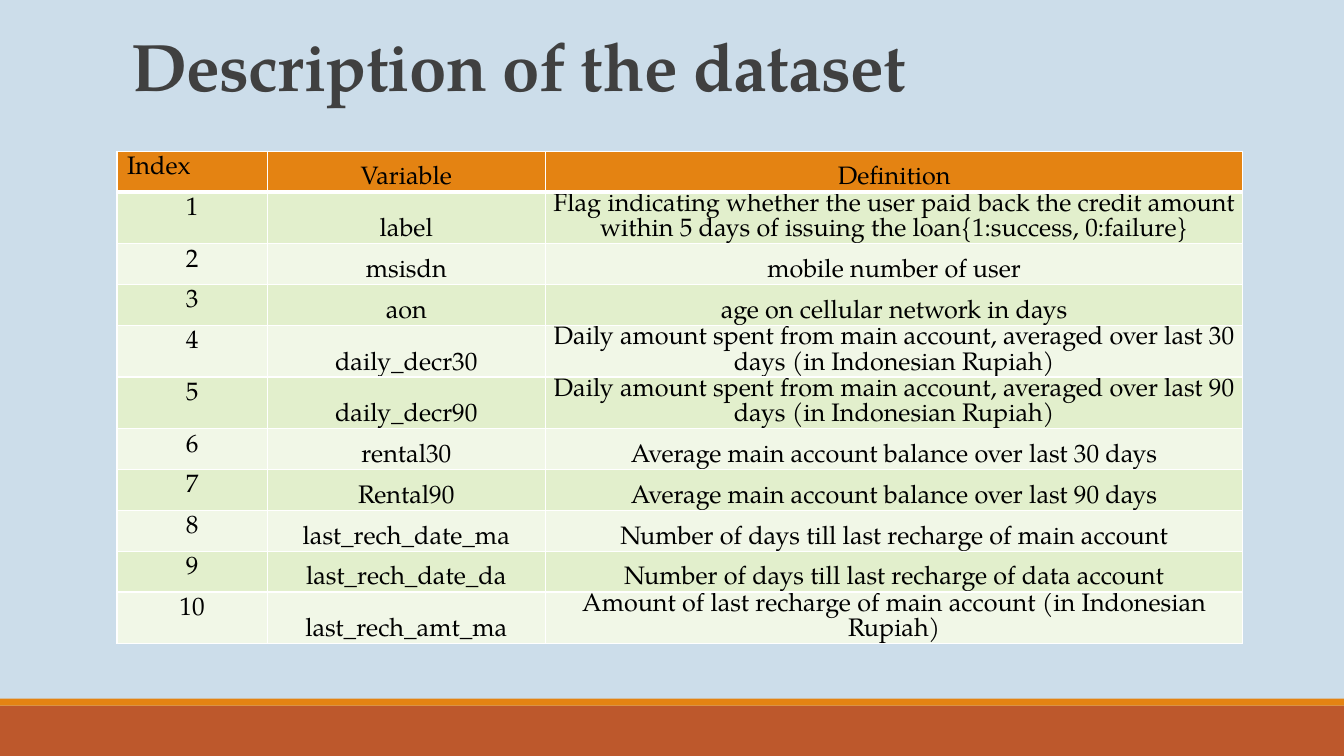
"""Build the slide that describes the variables of the loan dataset."""
from dataclasses import dataclass

from lxml.etree import SubElement
from pptx import Presentation
from pptx.dml.color import RGBColor
from pptx.enum.shapes import MSO_SHAPE
from pptx.enum.text import MSO_ANCHOR, MSO_AUTO_SIZE, PP_ALIGN
from pptx.oxml.ns import qn
from pptx.util import Inches, Pt

WIDTH, HEIGHT = Inches(13.33), Inches(7.5)


@dataclass(frozen=True)
class Theme:
    font: str = "TeX Gyre Pagella"
    title_size: int = 48
    body_size: int = 18
    background: str = "CCDDEA"
    orange: str = "E48312"
    rust: str = "BD582C"
    title: str = "404040"
    body: str = "000000"
    border: str = "FFFFFF"
    bands: tuple = ("E2EFCC", "F1F7E7")


THEME = Theme()
COLUMN_SHARES = (11.18, 20.7, 51.9)
ONE_LINE, TWO_LINES = 5.4, 6.8
HEADINGS = ("Index", "Variable", "Definition")
VARIABLES = (
    ("label", "Flag indicating whether the user paid back the credit amount "
              "within 5 days of issuing the loan{1:success, 0:failure}"),
    ("msisdn", "mobile number of user"),
    ("aon", "age on cellular network in days"),
    ("daily_decr30", "Daily amount spent from main account, averaged over last 30 days (in Indonesian Rupiah)"),
    ("daily_decr90", "Daily amount spent from main account, averaged over last 90 days (in Indonesian Rupiah)"),
    ("rental30", "Average main account balance over last 30 days"),
    ("Rental90", "Average main account balance over last 90 days"),
    ("last_rech_date_ma", "Number of days till last recharge of main account"),
    ("last_rech_date_da", "Number of days till last recharge of data account"),
    ("last_rech_amt_ma", "Amount of last recharge of main account (in Indonesian Rupiah)"),
)


def across(percent):
    """Return a percentage of the slide's width."""
    return round(WIDTH * percent / 100)


def down(percent):
    """Return a percentage of the slide's height."""
    return round(HEIGHT * percent / 100)


def write(frame, text, size=THEME.body_size, color=THEME.body, bold=False,
          align=PP_ALIGN.CENTER, line_spacing=None, tracking=None):
    """Put one formatted paragraph in a text frame."""
    frame.word_wrap = True
    paragraph = frame.paragraphs[0]
    paragraph.alignment = align
    if line_spacing:
        paragraph.line_spacing = line_spacing
    run = paragraph.add_run()
    run.text = text
    run.font.name = THEME.font
    run.font.size = Pt(size)
    run.font.bold = bold
    run.font.color.rgb = RGBColor.from_string(color)
    if tracking is not None:
        run.font._element.set("spc", str(round(tracking * 100)))


def add_band(slide, top, height, color):
    """Add a full-width footer band."""
    band = slide.shapes.add_shape(MSO_SHAPE.RECTANGLE, 0, down(top), WIDTH, down(height))
    band.shadow.inherit = False
    band.fill.solid()
    band.fill.fore_color.rgb = RGBColor.from_string(color)
    band.line.fill.background()


def add_title(slide, text):
    """Place and format the title placeholder."""
    title = slide.shapes.title
    title.left, title.top = across(9), down(4.13)
    title.width, title.height = across(82.5), down(21.2)
    title.text_frame.auto_size = MSO_AUTO_SIZE.NONE
    title.text_frame.vertical_anchor = MSO_ANCHOR.TOP
    write(title.text_frame, text, size=THEME.title_size, color=THEME.title, bold=True,
          align=PP_ALIGN.LEFT, line_spacing=0.85, tracking=-0.5)


def set_borders(cell, **widths):
    """Draw the cell's borders, one point wide unless a side is given."""
    properties = cell._tc.get_or_add_tcPr()
    for side in "LRTB":
        edge = SubElement(properties, qn(f"a:ln{side}"), w=str(Pt(widths.get(side, 1))))
        SubElement(SubElement(edge, qn("a:solidFill")), qn("a:srgbClr"), val=THEME.border)


def format_cell(cell, text, row, column):
    """Fill one cell according to its row and column."""
    set_borders(cell, **{0: {"B": 3}, 1: {"T": 3}}.get(row, {}))
    cell.fill.solid()
    fill = THEME.bands[(row - 1) % 2] if row else THEME.orange
    cell.fill.fore_color.rgb = RGBColor.from_string(fill)
    if column:
        cell.vertical_anchor = MSO_ANCHOR.BOTTOM
        cell.margin_left = cell.margin_right = cell.margin_top = Inches(0.01)
        cell.margin_bottom = 0
    is_index_heading = row == column == 0
    write(cell.text_frame, text, align=PP_ALIGN.LEFT if is_index_heading else PP_ALIGN.CENTER)


def add_variables(slide):
    """Add the table of numbered variables and their definitions."""
    entries = [HEADINGS] + [(str(index), *entry) for index, entry in enumerate(VARIABLES, 1)]
    heights = [TWO_LINES if len(entry[-1]) > 55 else ONE_LINE for entry in entries]
    table = slide.shapes.add_table(
        len(entries), len(HEADINGS), across(8.7), down(20),
        across(sum(COLUMN_SHARES)), down(sum(heights))).table
    table.horz_banding = False
    for column, share in zip(table.columns, COLUMN_SHARES):
        column.width = across(share)
    for row, (entry, height) in enumerate(zip(entries, heights)):
        table.rows[row].height = down(height)
        for column, text in enumerate(entry):
            format_cell(table.cell(row, column), text, row, column)


def main():
    """Create and save the presentation."""
    deck = Presentation()
    deck.slide_width, deck.slide_height = WIDTH, HEIGHT
    slide = deck.slides.add_slide(deck.slide_layouts.get_by_name("Title Only"))
    slide.background.fill.solid()
    slide.background.fill.fore_color.rgb = RGBColor.from_string(THEME.background)
    add_band(slide, 93.33, 6.67, THEME.rust)
    add_band(slide, 92.4, 0.93, THEME.orange)
    add_title(slide, "Description of the dataset")
    add_variables(slide)
    deck.save("out.pptx")


if __name__ == "__main__":
    main()
